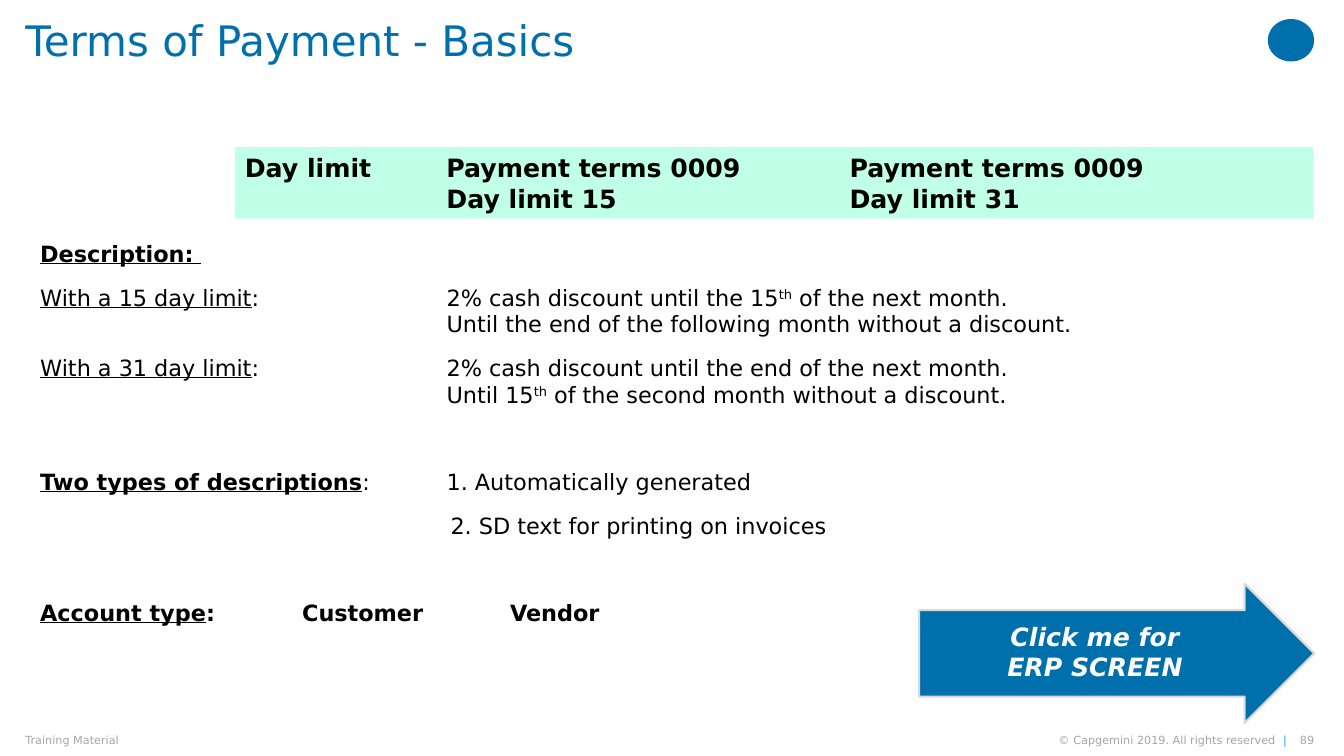
"""Builds the training slide on the basics of terms of payment."""
from copy import deepcopy
from dataclasses import dataclass

from lxml.etree import SubElement
from pptx import Presentation
from pptx.dml.color import RGBColor
from pptx.enum.shapes import MSO_SHAPE
from pptx.enum.text import MSO_ANCHOR, MSO_AUTO_SIZE, PP_ALIGN
from pptx.oxml.ns import qn
from pptx.util import Cm, Pt


@dataclass(frozen=True)
class Theme:
    font: str = "DejaVu Sans"
    blue: RGBColor = RGBColor(0x00, 0x70, 0xAD)
    cyan: RGBColor = RGBColor(0x12, 0xAB, 0xDB)
    mint: RGBColor = RGBColor(0xC0, 0xFF, 0xE8)
    black: RGBColor = RGBColor(0x00, 0x00, 0x00)
    white: RGBColor = RGBColor(0xFF, 0xFF, 0xFF)
    outline: RGBColor = RGBColor(0xD9, 0xD9, 0xD9)
    grey: RGBColor = RGBColor(0xA6, 0xA6, 0xA6)
    title_size: Pt = Pt(30)
    label_size: Pt = Pt(18)
    body_size: Pt = Pt(16)
    footer_size: Pt = Pt(8)


theme = Theme()


def write(paragraph, pieces, size, color, tabs=(), align=PP_ALIGN.LEFT, before=0):
    """Fill a paragraph with (text, style letters) pieces; a newline piece breaks the line."""
    properties = paragraph._p.get_or_add_pPr()
    SubElement(properties, qn("a:buNone"))
    if tabs:
        properties.set("defTabSz", str(Cm(tabs[0])))
        tab_list = SubElement(properties, qn("a:tabLst"))
        for position in tabs:
            SubElement(tab_list, qn("a:tab"), pos=str(Cm(position)), algn="l")
    paragraph.alignment = align
    paragraph.space_before = Pt(before)
    for text, style in pieces:
        if text == "\n":
            run_properties = deepcopy(run._r.rPr)
            paragraph.add_line_break()
            paragraph._p[-1].append(run_properties)
            continue
        run = paragraph.add_run()
        run.text = text
        run.font.name = theme.font
        run.font.size = size
        run.font.color.rgb = color
        run.font.bold = "b" in style
        run.font.italic = "i" in style
        run.font.underline = "u" in style
        if "^" in style:
            run._r.get_or_add_rPr().set("baseline", "30000")


def place(shape, left, top, width, height):
    """Move and size a shape, in centimetres."""
    shape.left, shape.top, shape.width, shape.height = map(Cm, (left, top, width, height))


presentation = Presentation()
presentation.slide_width = Cm(33.87)
presentation.slide_height = Cm(19.05)
for body_style in presentation.slide_master.element.iter(qn("a:lvl1pPr")):
    for attribute in ("marL", "indent"):
        body_style.attrib.pop(attribute, None)
slide = presentation.slides.add_slide(presentation.slide_layouts[1])

title = slide.shapes.title
place(title, 0.64, 0, 30.91, 2.01)
title_frame = title.text_frame
title_frame.auto_size = MSO_AUTO_SIZE.NONE
title_frame.vertical_anchor = MSO_ANCHOR.TOP
title_frame.margin_left = title_frame.margin_right = title_frame.margin_bottom = 0
title_frame.margin_top = Cm(0.51)
title_frame.paragraphs[0].line_spacing = 0.9
write(title_frame.paragraphs[0], [("Terms of Payment - Basics", "")], theme.title_size, theme.blue)

shapes = {}
for name, kind, box, fill in [
    ("emblem", MSO_SHAPE.OVAL, (31.95, 0.48, 1.17, 1.07), theme.blue),
    ("band", MSO_SHAPE.RECTANGLE, (5.92, 3.71, 27.18, 1.8), theme.mint),
    ("arrow", MSO_SHAPE.RIGHT_ARROW, (23.16, 14.71, 9.96, 3.51), theme.blue),
]:
    shape = slide.shapes.add_shape(kind, *map(Cm, box))
    shape.shadow.inherit = False
    shape.fill.solid()
    shape.fill.fore_color.rgb = fill
    shape.line.fill.background()
    shape.text_frame.vertical_anchor = MSO_ANCHOR.MIDDLE
    shapes[name] = shape

arrow = shapes["arrow"]
arrow.adjustments[0] = 0.62
arrow.line.color.rgb = theme.outline
arrow.line.width = Pt(1.5)
arrow.text_frame.margin_bottom = Cm(0.23)

band_tabs = (5.08, 15.24)
for name, lines, style, color, tabs, align in [
    ("band", ("Day limit\tPayment terms 0009\tPayment terms 0009", "\tDay limit 15\tDay limit 31"),
     "b", theme.black, band_tabs, PP_ALIGN.LEFT),
    ("arrow", ("Click me for", "ERP SCREEN"), "bi", theme.white, (), PP_ALIGN.CENTER),
]:
    frame = shapes[name].text_frame
    for index, line in enumerate(lines):
        paragraph = frame.add_paragraph() if index else frame.paragraphs[0]
        write(paragraph, [(line, style)], theme.label_size, color, tabs, align)

body = slide.placeholders[1]
place(body, 0.76, 5.92, 32.33, 10.08)
body_frame = body.text_frame
body_frame.word_wrap = True
body_frame.auto_size = MSO_AUTO_SIZE.NONE
answer_tabs = (10.24,)
for index, (before, tabs, pieces) in enumerate([
    (0, (), [("Description: ", "bu")]),
    (12, answer_tabs, [
        ("With a 15 day limit", "u"), (":\t2% cash discount until the 15", ""), ("th", "^"),
        (" of the next month.", ""), ("\n", ""),
        ("\tUntil the end of the following month without a discount.", "")]),
    (12, answer_tabs, [
        ("With a 31 day limit", "u"), (":\t2% cash discount until the end of the next month.", ""),
        ("\n", ""), ("\tUntil 15", ""), ("th", "^"),
        (" of the second month without a discount.", "")]),
    (43, answer_tabs, [
        ("Two types of descriptions", "bu"), (":\t1. Automatically generated", "")]),
    (12, (10.34,), [("\t2. SD text for printing on invoices", "")]),
    (43, (6.6, 11.84), [("Account type", "bu"), (":\tCustomer\tVendor", "b")]),
]):
    paragraph = body_frame.add_paragraph() if index else body_frame.paragraphs[0]
    write(paragraph, pieces, theme.body_size, theme.black, tabs, before=before)

for left, width, align, parts in [
    (0.64, 13.11, PP_ALIGN.LEFT, [("Training Material", theme.grey)]),
    (25.04, 7.39, PP_ALIGN.RIGHT,
     [("© Capgemini 2019. All rights reserved ", theme.grey), (" |", theme.cyan)]),
    (32.64, 0.48, PP_ALIGN.RIGHT, [("89", theme.grey)]),
]:
    footer = slide.shapes.add_textbox(Cm(left), Cm(18.49), Cm(width), Cm(0.33))
    frame = footer.text_frame
    frame.word_wrap = True
    frame.vertical_anchor = MSO_ANCHOR.MIDDLE
    frame.margin_left = frame.margin_top = frame.margin_right = frame.margin_bottom = 0
    write(frame.paragraphs[0], [(parts[0][0], "")], theme.footer_size, parts[0][1], align=align)
    for text, color in parts[1:]:
        run = frame.paragraphs[0].add_run()
        run.text = text
        run.font.name = theme.font
        run.font.size = theme.footer_size
        run.font.color.rgb = color

presentation.save("out.pptx")
